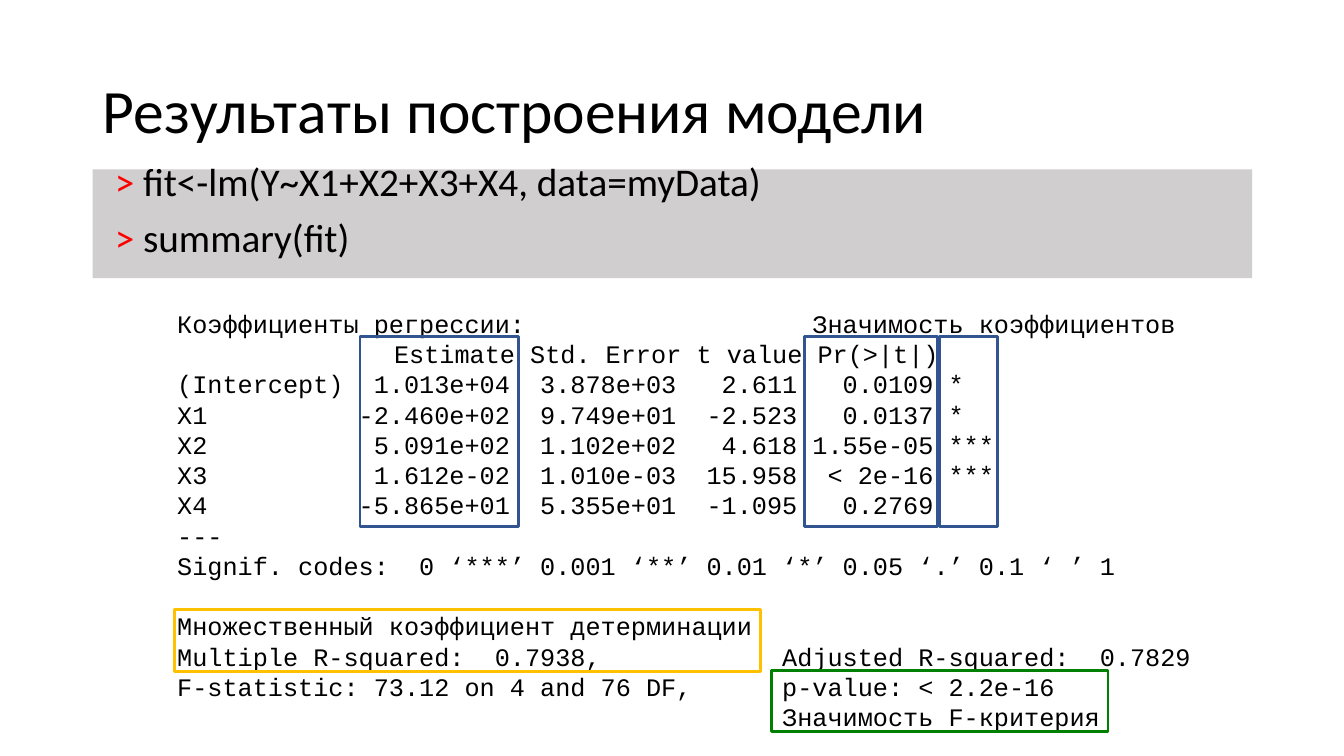
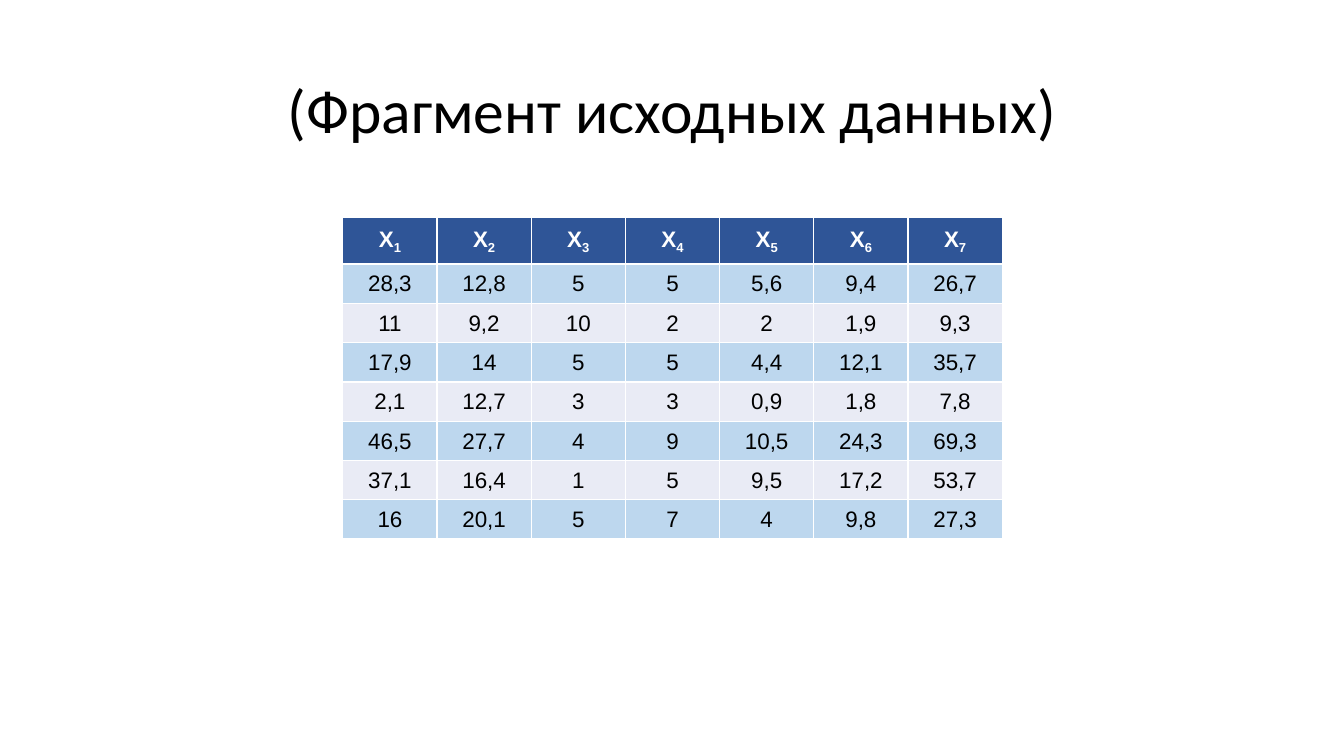
from lxml.etree import SubElement
from pptx import Presentation
from pptx.dml.color import RGBColor
from pptx.enum.shapes import MSO_SHAPE
from pptx.enum.text import MSO_ANCHOR, PP_ALIGN
from pptx.oxml.ns import qn
from pptx.util import Inches, Pt

INK = {
    "text": "000000", "white": "FFFFFF", "prompt": "FF0000", "band": "D0CECE",
    "coef": "325491", "fstat": "008000", "rsq": "FFC000",
    "head": "2F5597", "odd": "BDD7EE", "even": "E9EBF5",
}
LEFT, WIDTH = 0.92, 11.5

TOP = [(6.3, "l")]
NAMES = [(2.15, "l")]
COEFS = [(3.3, "r"), (4.95, "r"), (6.15, "r"), (7.5, "r"), (7.65, "l")]
TESTS = [(6, "l")]
OUTPUT = [
    ("Коэффициенты регрессии:\tЗначимость коэффициентов", TOP),
    ("\tEstimate Std. Error t value Pr(>|t|)", NAMES),
    ("(Intercept)\t1.013e+04\t3.878e+03\t2.611\t0.0109\t*", COEFS),
    ("X1\t-2.460e+02\t9.749e+01\t-2.523\t0.0137\t*", COEFS),
    ("X2\t5.091e+02\t1.102e+02\t4.618\t1.55e-05\t***", COEFS),
    ("X3\t1.612e-02\t1.010e-03\t15.958\t< 2e-16\t***", COEFS),
    ("X4\t-5.865e+01\t5.355e+01\t-1.095\t0.2769", COEFS),
    ("---", []),
    ("Signif. codes:  0 ‘***’ 0.001 ‘**’ 0.01 ‘*’ 0.05 ‘.’ 0.1 ‘ ’ 1", []),
]
SUMMARY = [
    ("Множественный коэффициент детерминации", []),
    ("Multiple R-squared:  0.7938,\tAdjusted R-squared:  0.7829", TESTS),
    ("F-statistic: 73.12 on 4 and 76 DF,\tp-value: < 2.2e-16", TESTS),
    ("\tЗначимость F-критерия", TESTS),
]
DATA = [
    "28,3 12,8 5 5 5,6 9,4 26,7",
    "11 9,2 10 2 2 1,9 9,3",
    "17,9 14 5 5 4,4 12,1 35,7",
    "2,1 12,7 3 3 0,9 1,8 7,8",
    "46,5 27,7 4 9 10,5 24,3 69,3",
    "37,1 16,4 1 5 9,5 17,2 53,7",
    "16 20,1 5 7 4 9,8 27,3",
]


def color(name):
    """Return a palette colour."""
    return RGBColor.from_string(INK[name])


def style(para, face, size, ink="text", bold=False):
    """Set the font of a paragraph."""
    font = para.font
    font.name, font.size, font.bold = face, Pt(size), bold
    font.color.rgb = color(ink)


def add_box(slide, left, top, width, height):
    """Add a wrapping text box and return its frame."""
    box = slide.shapes.add_textbox(*map(Inches, (left, top, width, height)))
    box.text_frame.word_wrap = True
    return box.text_frame


def add_lines(frame, count):
    """Return the given number of paragraphs of an empty frame."""
    return [frame.paragraphs[0]] + [frame.add_paragraph() for _ in range(count - 1)]


def add_title(slide, text, align=PP_ALIGN.LEFT):
    """Add the slide title."""
    frame = add_box(slide, LEFT, 0.4, WIDTH, 1.45)
    frame.vertical_anchor = MSO_ANCHOR.MIDDLE
    para = frame.paragraphs[0]
    para.text, para.alignment, para.line_spacing = text, align, 0.9
    style(para, "Calibri", 44)


def add_rect(slide, left, top, width, height, fill=None, line=None):
    """Add a filled band or an outlined frame."""
    rect = slide.shapes.add_shape(
        MSO_SHAPE.RECTANGLE, *map(Inches, (left, top, width, height)))
    rect.shadow.inherit = False
    if fill:
        rect.fill.solid()
        rect.fill.fore_color.rgb = color(fill)
    else:
        rect.fill.background()
    if line:
        rect.line.color.rgb = color(line)
        rect.line.width = Pt(2)
    else:
        rect.line.fill.background()


def add_code(slide, lines):
    """Add commands, each after a red prompt."""
    frame = add_box(slide, LEFT, 1.56, WIDTH, 4.76)
    for para, line in zip(add_lines(frame, len(lines)), lines):
        para.line_spacing, para.space_before = 0.9, Pt(10)
        para._p.get_or_add_pPr().set("marL", str(Inches(0.12)))
        style(para, "Calibri", 28)
        mark = para.add_run()
        mark.text = ">"
        mark.font.color.rgb = color("prompt")
        para.add_run().text = " " + line


def set_tabs(para, stops):
    """Give a paragraph its tab stops."""
    tabs = SubElement(para._p.get_or_add_pPr(), qn("a:tabLst"))
    for place, side in stops:
        SubElement(tabs, qn("a:tab"), pos=str(Inches(place)), algn=side)


def add_report(slide):
    """Add the console report in tabbed columns."""
    lines = OUTPUT + SUMMARY
    paras = add_lines(add_box(slide, 1.66, 3.01, 10.5, 4.34), len(lines))
    for para, (text, stops) in zip(paras, lines):
        para.line_spacing = Pt(21.6)
        if stops:
            set_tabs(para, stops)
        para.add_run().text = text
        style(para, "Courier New", 18)
    paras[len(OUTPUT)].space_before = Pt(21.6)


def set_cell(cell, text, fill, ink="text", sub=None):
    """Fill one bordered cell, with a subscript if given."""
    cell.margin_left = cell.margin_right = cell.margin_top = Inches(0.01)
    cell.margin_bottom = 0
    cell.vertical_anchor = MSO_ANCHOR.MIDDLE
    for side in "LRTB":
        edge = SubElement(cell._tc.get_or_add_tcPr(), qn("a:ln" + side), w=str(Pt(1)))
        paint = SubElement(edge, qn("a:solidFill"))
        SubElement(paint, qn("a:srgbClr"), val=INK["white"])
    cell.fill.solid()
    cell.fill.fore_color.rgb = color(fill)
    para = cell.text_frame.paragraphs[0]
    para.alignment = PP_ALIGN.CENTER
    style(para, "Arial", 16, ink, bold=sub is not None)
    para.add_run().text = text
    if sub is not None:
        run = para.add_run()
        run.text = str(sub)
        run._r.get_or_add_rPr().set("baseline", "-25000")


def add_data(slide):
    """Add the table of source data."""
    rows = [line.split() for line in DATA]
    count = len(rows[0])
    table = slide.shapes.add_table(
        len(rows) + 1, count, *map(Inches, (3.4, 2.16, 6.54, 3.19))).table
    table.horz_banding = False
    for col in table.columns:
        col.width = Inches(6.54 / count)
    for row in table.rows:
        row.height = Inches(0.39)
    table.rows[0].height = Inches(0.46)
    for c in range(count):
        set_cell(table.cell(0, c), "X", "head", "white", c + 1)
    for r, row in enumerate(rows, 1):
        for c, text in enumerate(row):
            set_cell(table.cell(r, c), text, "odd" if r % 2 else "even")


def add_model(slide):
    """Build the slide with the fitted model."""
    add_rect(slide, LEFT, 1.68, WIDTH, 1.08, fill="band")
    add_title(slide, "Результаты построения модели")
    add_code(slide, ["fit<-lm(Y~X1+X2+X3+X4, data=myData)", "summary(fit)"])
    add_report(slide)
    for left, width in [(3.57, 1.57), (7.98, 1.32), (9.32, 0.57)]:
        add_rect(slide, left, 3.34, width, 1.88, line="coef")
    add_rect(slide, 7.65, 6.65, 3.34, 0.61, line="fstat")
    add_rect(slide, 1.73, 6.05, 5.81, 0.61, line="rsq")


def add_source(slide):
    """Build the slide with the source data."""
    add_title(slide, "(Фрагмент исходных данных)", PP_ALIGN.CENTER)
    add_data(slide)


def main():
    """Build and save the slides."""
    deck = Presentation()
    deck.slide_width, deck.slide_height = Inches(13.33), Inches(7.5)
    for build in (add_model, add_source):
        build(deck.slides.add_slide(deck.slide_layouts[6]))
    deck.save("out.pptx")


main()
